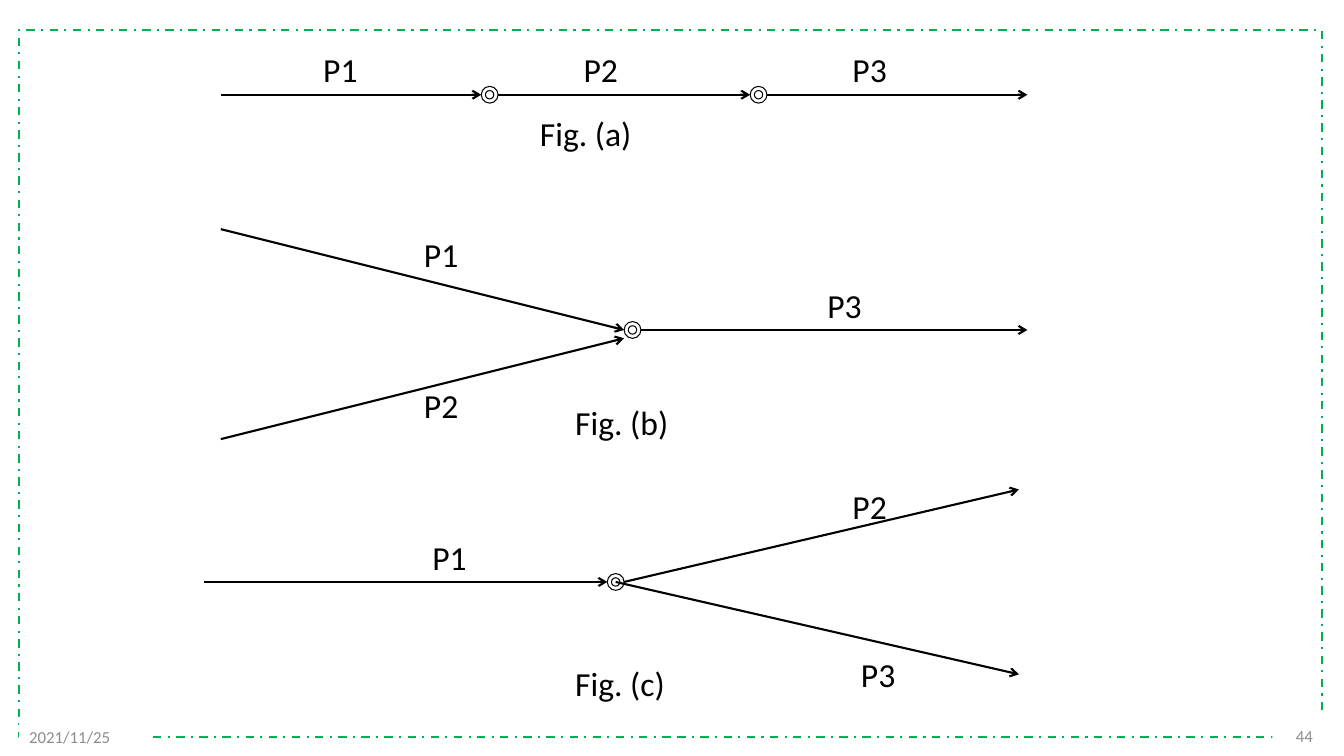
"""Build a slide of three process-flow figures: series, merge and split."""
from pptx import Presentation
from pptx.dml.color import RGBColor
from pptx.enum.dml import MSO_LINE
from pptx.enum.shapes import MSO_CONNECTOR, MSO_SHAPE
from pptx.enum.text import MSO_ANCHOR, MSO_AUTO_SIZE, PP_ALIGN
from pptx.oxml.ns import qn
from pptx.util import Inches, Pt
from lxml import etree

STRAIGHT = MSO_CONNECTOR.STRAIGHT
RECT, DONUT = MSO_SHAPE.RECTANGLE, MSO_SHAPE.DONUT
LEFT, RIGHT = PP_ALIGN.LEFT, PP_ALIGN.RIGHT
MIDDLE, FIT = MSO_ANCHOR.MIDDLE, MSO_AUTO_SIZE.SHAPE_TO_FIT_TEXT
DASH_DOT = MSO_LINE.DASH_DOT

COLORS = {"ink": "000000", "frame": "00B050", "paper": "FFFFFF", "footer": "8C8C8C"}
FIGURES = [
    {"labels": [("P1", 35, -6), ("P2", 66, -6), ("P3", 98, -6), ("Fig. (a)", 60.8, 1.6)],
     "rings": [(55, 0), (87, 0)],
     "arrows": [(24, 0, 55, 0), (57, 0, 87, 0), (89, 0, 120, 0)]},
    {"labels": [("P1", 47, 16), ("P2", 47, 34), ("P3", 95, 22), ("Fig. (b)", 65, 36)],
     "rings": [(72, 28)],
     "arrows": [(24, 16, 72, 28), (24, 41, 72, 29), (74, 28, 120, 28)]},
    {"labels": [("P1", 48, 52), ("P2", 98, 46), ("P3", 99, 66), ("Fig. (c)", 65, 67)],
     "rings": [(70, 58)],
     "arrows": [(22, 58, 70, 58), (72, 58, 119, 47), (71, 58, 119, 69)]},
]
FOOTERS = [("44", (12.62, 7.1, 0.5, 0.4), RIGHT),
           ("2021/11/25", (0.19, 7.11, 1.32, 0.4), LEFT)]
FRAME = (0.19, 0.3, 12.92, 7.01)
GRID_LEFT, GRID_TOP, STEP = 0.19, 0.94, 1 / 12
RING = 2 * STEP
LABEL_WIDTH, CAPTION_WIDTH, LABEL_HEIGHT = 0.55, 1.12, 0.5


def color(name):
    return RGBColor.from_string(COLORS[name])


def grid(col, row):
    return GRID_LEFT + col * STEP, GRID_TOP + row * STEP


def inches(values):
    return [Inches(v) for v in values]


def set_line(line, name, width):
    line.color.rgb = color(name)
    line.width = Pt(width)


def write(tf, text, size, name, align=LEFT):
    p = tf.paragraphs[0]
    p.alignment = align
    r = p.add_run()
    r.text = text
    for key, value in {"name": "Calibri", "size": Pt(size)}.items():
        setattr(r.font, key, value)
    r.font.color.rgb = color(name)


def add_box(shapes, kind, box):
    sp = shapes.add_shape(kind, *inches(box))
    sp.shadow.inherit = False
    sp.fill.background()
    sp.line.fill.background()
    return sp


def add_frame(shapes):
    sp = add_box(shapes, RECT, FRAME)
    set_line(sp.line, "frame", 1.5)
    sp.line.dash_style = DASH_DOT


def add_footer(shapes, text, box, align):
    sp = add_box(shapes, RECT, box)
    sp.fill.solid()
    sp.fill.fore_color.rgb = color("paper")
    sp.text_frame.vertical_anchor = MIDDLE
    write(sp.text_frame, text, 12, "footer", align)


def add_label(shapes, text, col, row):
    width = CAPTION_WIDTH if text.startswith("Fig") else LABEL_WIDTH
    sp = shapes.add_textbox(*inches((*grid(col, row), width, LABEL_HEIGHT)))
    for key, value in {"word_wrap": False, "auto_size": FIT}.items():
        setattr(sp.text_frame, key, value)
    write(sp.text_frame, text, 24, "ink")


def add_ring(shapes, col, row):
    sp = add_box(shapes, DONUT, (*grid(col, row - 1), RING, RING))
    set_line(sp.line, "ink", 0.75)


def add_arrow(shapes, col1, row1, col2, row2):
    ends = inches((*grid(col1, row1), *grid(col2, row2)))
    cxn = shapes.add_connector(STRAIGHT, *ends)
    set_line(cxn.line, "ink", 1.5)
    sp_pr = cxn._element.spPr
    etree.SubElement(sp_pr.find(qn("a:ln")), qn("a:tailEnd"), type="arrow")
    etree.SubElement(sp_pr, qn("a:effectLst"))


def main():
    prs = Presentation()
    prs.slide_width, prs.slide_height = Inches(13.33), Inches(7.5)
    shapes = prs.slides.add_slide(prs.slide_layouts[6]).shapes
    add_frame(shapes)
    for footer in FOOTERS:
        add_footer(shapes, *footer)
    for figure in FIGURES:
        for label in figure["labels"]:
            add_label(shapes, *label)
        for ring in figure["rings"]:
            add_ring(shapes, *ring)
        for arrow in figure["arrows"]:
            add_arrow(shapes, *arrow)
    prs.save("out.pptx")


if __name__ == "__main__":
    main()
